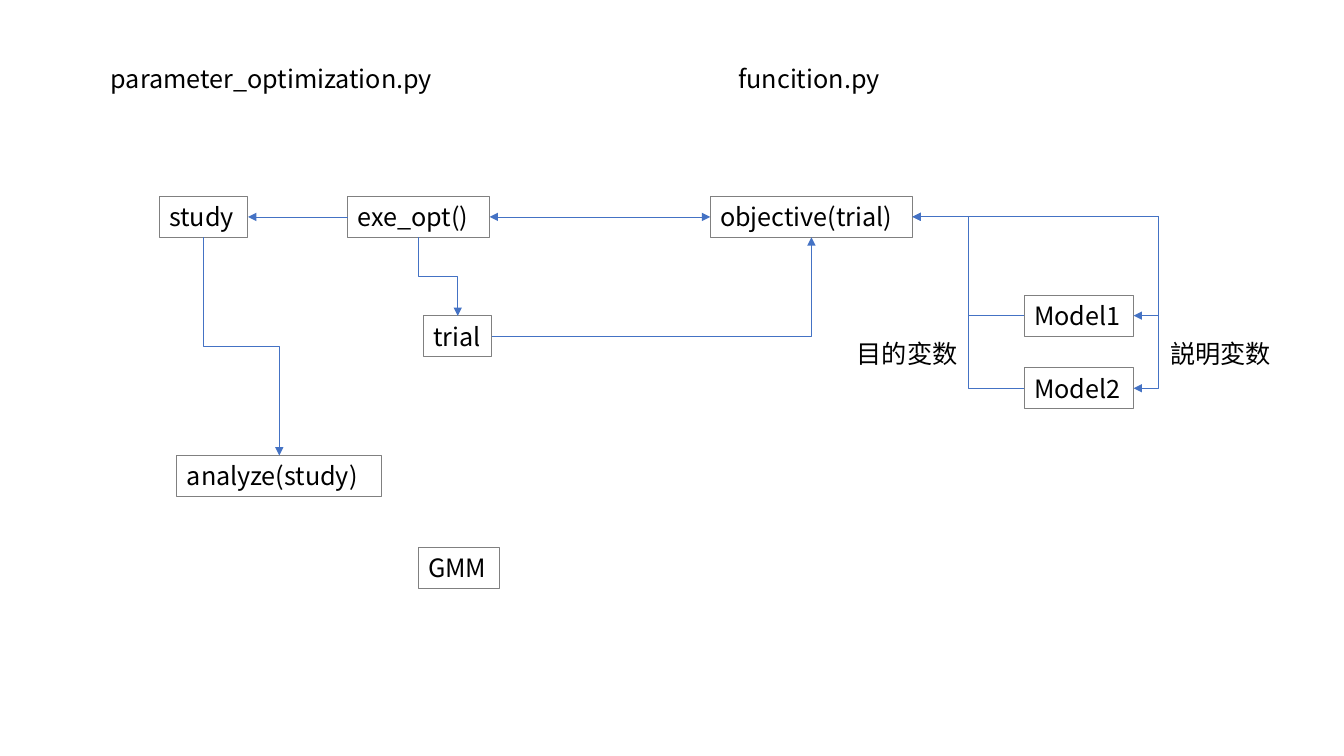
from dataclasses import dataclass
from enum import IntEnum

from lxml.etree import SubElement
from pptx import Presentation
from pptx.dml.color import RGBColor
from pptx.enum.shapes import MSO_CONNECTOR, MSO_SHAPE
from pptx.enum.text import MSO_ANCHOR, MSO_AUTO_SIZE, PP_ALIGN
from pptx.oxml.ns import qn
from pptx.shapes.autoshape import Shape
from pptx.shapes.connector import Connector
from pptx.slide import Slide
from pptx.util import Cm, Pt


@dataclass(frozen=True)
class Theme:
    font: str = "Noto Sans CJK JP"
    text_size: Pt = Pt(18)
    text: RGBColor = RGBColor(0x00, 0x00, 0x00)
    border: RGBColor = RGBColor(0x80, 0x80, 0x80)
    arrow: RGBColor = RGBColor(0x44, 0x72, 0xC4)
    border_width: Pt = Pt(0.75)
    arrow_width: Pt = Pt(0.5)


class Side(IntEnum):
    TOP = 0
    LEFT = 1
    BOTTOM = 2
    RIGHT = 3


class Route(IntEnum):
    STRAIGHT = 0
    ACROSS = 1  # horizontal, vertical, horizontal
    DOWN = 2  # vertical, horizontal, vertical
    CORNER = 3  # one bend


@dataclass(frozen=True)
class Label:
    text: str
    left: float
    top: float
    width: float
    boxed: bool = True


@dataclass(frozen=True)
class Arrow:
    source: str
    source_side: Side
    target: str
    target_side: Side
    route: Route = Route.STRAIGHT
    bend: float = 0.5
    two_way: bool = False


THEME = Theme()
LABEL_HEIGHT = 1.03
TITLE_TOP, MAIN_TOP, VARIABLE_TOP = 1.47, 4.95, 8.41
MODEL_LEFT, MODEL_WIDTH = 25.81, 2.76
OUTER_BEND = 1.11

LABELS = [
    # File names
    Label("parameter_optimization.py", 2.54, TITLE_TOP, 8.99, boxed=False),
    Label("funcition.py", 18.36, TITLE_TOP, 4.17, boxed=False),
    # Functions and objects
    Label("study", 4.01, MAIN_TOP, 2.24),
    Label("exe_opt()", 8.76, MAIN_TOP, 3.58),
    Label("objective(trial)", 17.9, MAIN_TOP, 5.1),
    Label("trial", 10.67, 7.96, 1.73),
    Label("analyze(study)", 4.46, 11.48, 5.16),
    Label("GMM", 10.54, 13.79, 2.06),
    Label("Model1", MODEL_LEFT, 7.44, MODEL_WIDTH),
    Label("Model2", MODEL_LEFT, 9.27, MODEL_WIDTH),
    # Variables passed to and from the models
    Label("説明変数", 29.24, VARIABLE_TOP, 3.07, boxed=False),
    Label("目的変数", 21.34, VARIABLE_TOP, 3.07, boxed=False),
]

ARROWS = [
    Arrow("exe_opt()", Side.RIGHT, "objective(trial)", Side.LEFT, two_way=True),
    Arrow("exe_opt()", Side.LEFT, "study", Side.RIGHT),
    Arrow("study", Side.BOTTOM, "analyze(study)", Side.TOP, Route.DOWN),
    Arrow("exe_opt()", Side.BOTTOM, "trial", Side.TOP, Route.DOWN),
    Arrow("trial", Side.RIGHT, "objective(trial)", Side.BOTTOM, Route.CORNER),
]
for model in ("Model1", "Model2"):
    ARROWS += [
        Arrow(model, Side.LEFT, "objective(trial)", Side.RIGHT, Route.ACROSS),
        Arrow("objective(trial)", Side.RIGHT, model, Side.RIGHT, Route.ACROSS, OUTER_BEND),
    ]


def add_label(slide: Slide, label: Label) -> Shape:
    bounds = (Cm(label.left), Cm(label.top), Cm(label.width), Cm(LABEL_HEIGHT))
    if label.boxed:
        shape = slide.shapes.add_shape(MSO_SHAPE.RECTANGLE, *bounds)
        shape.shadow.inherit = False
        shape.fill.background()
        shape.line.color.rgb = THEME.border
        shape.line.width = THEME.border_width
    else:
        shape = slide.shapes.add_textbox(*bounds)
    frame = shape.text_frame
    frame.word_wrap = False
    frame.auto_size = MSO_AUTO_SIZE.SHAPE_TO_FIT_TEXT
    frame.vertical_anchor = MSO_ANCHOR.TOP
    paragraph = frame.paragraphs[0]
    paragraph.alignment = PP_ALIGN.LEFT
    run = paragraph.add_run()
    run.text = label.text
    run.font.name = THEME.font
    run.font.size = THEME.text_size
    run.font.color.rgb = THEME.text
    SubElement(run.font._element, qn("a:ea"), typeface=THEME.font)
    return shape


def turn_downward(connector: Connector) -> None:
    """Turn the elbow a quarter about its centre so it leaves vertically."""
    left, top = connector.left, connector.top
    width, height = connector.width, connector.height
    connector.left = left + (width - height) // 2
    connector.top = top + (height - width) // 2
    connector.width, connector.height = height, width
    transform = connector._element.spPr.find(qn("a:xfrm"))
    transform.set("rot", "16200000")
    transform.set("flipH", "1")


def add_arrow(slide: Slide, arrow: Arrow, shapes: dict[str, Shape]) -> None:
    straight = arrow.route == Route.STRAIGHT
    kind = MSO_CONNECTOR.STRAIGHT if straight else MSO_CONNECTOR.ELBOW
    connector = slide.shapes.add_connector(kind, 0, 0, 0, 0)
    connector.begin_connect(shapes[arrow.source], arrow.source_side)
    connector.end_connect(shapes[arrow.target], arrow.target_side)
    connector.line.color.rgb = THEME.arrow
    connector.line.width = THEME.arrow_width

    properties = connector._element.spPr
    geometry = properties.find(qn("a:prstGeom"))
    if arrow.route == Route.DOWN:
        turn_downward(connector)
    elif arrow.route == Route.CORNER:
        geometry.set("prst", "bentConnector2")
    elif arrow.route == Route.ACROSS:
        value = f"val {round(arrow.bend * 100000)}"
        SubElement(geometry.find(qn("a:avLst")), qn("a:gd"), name="adj1", fmla=value)

    line = properties.find(qn("a:ln"))
    if arrow.two_way:
        SubElement(line, qn("a:headEnd"), type="triangle")
    SubElement(line, qn("a:tailEnd"), type="triangle")
    SubElement(properties, qn("a:effectLst"))


presentation = Presentation()
presentation.slide_width = Cm(33.87)
presentation.slide_height = Cm(19.05)
slide = presentation.slides.add_slide(presentation.slide_layouts[6])

# Labels first, so that the arrows can attach to them
shapes = {label.text: add_label(slide, label) for label in LABELS}
for arrow in ARROWS:
    add_arrow(slide, arrow, shapes)

presentation.save("out.pptx")
